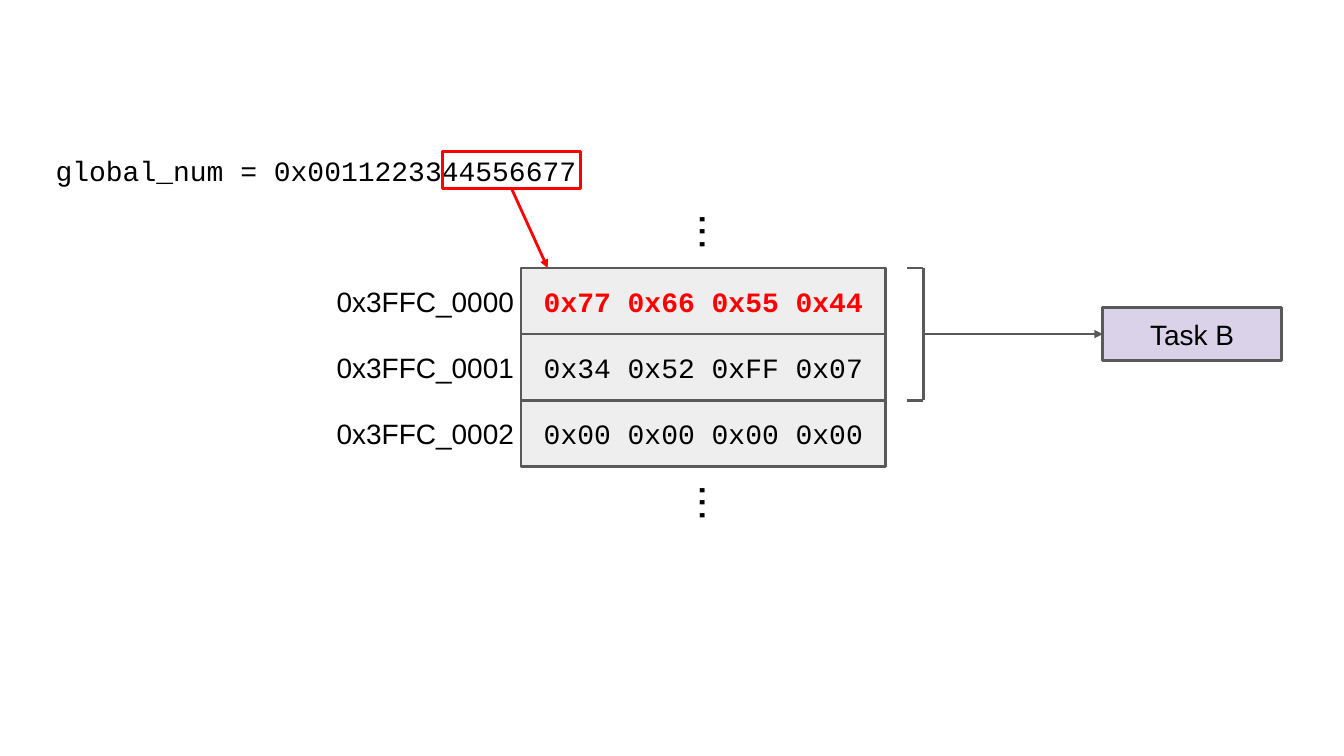
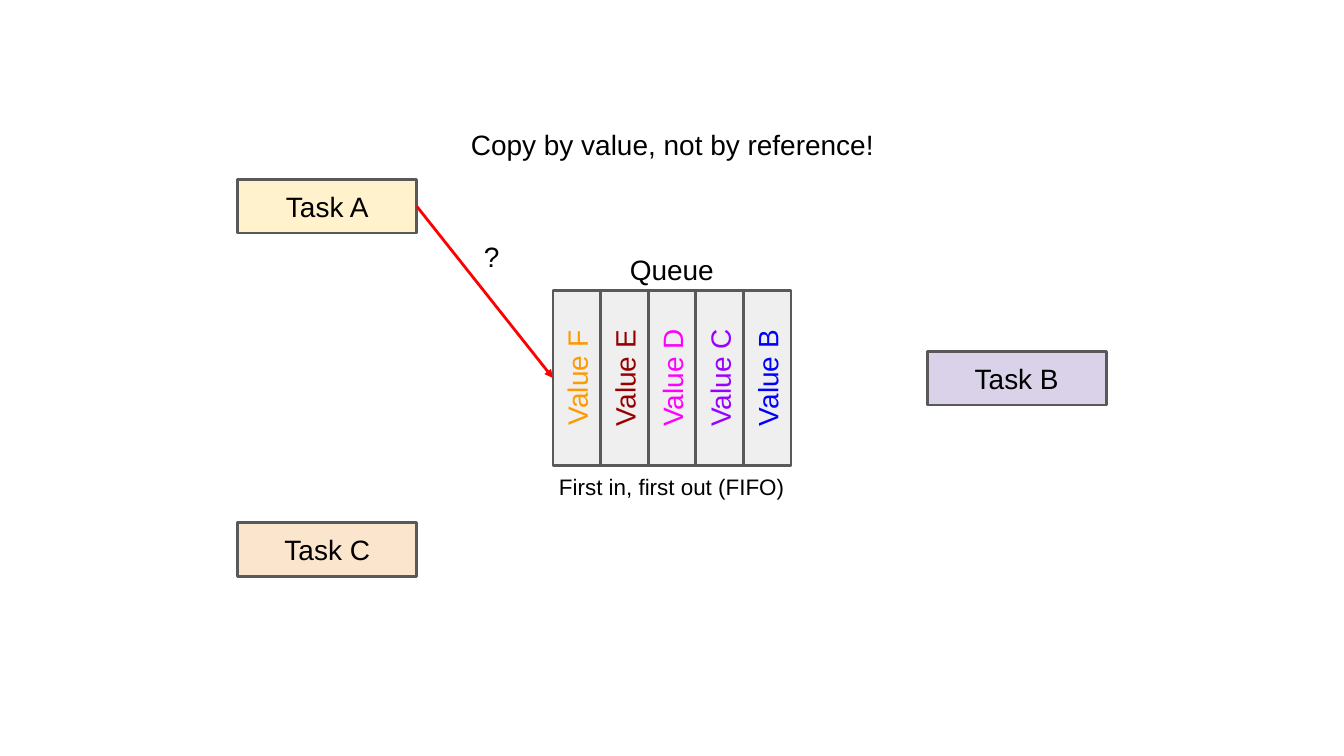
from dataclasses import dataclass

from lxml import etree
from pptx import Presentation
from pptx import util as u
from pptx.dml.color import RGBColor
from pptx.enum import shapes, text
from pptx.oxml import ns

CENTER, LEFT, RIGHT = text.PP_ALIGN.CENTER, text.PP_ALIGN.LEFT, text.PP_ALIGN.RIGHT
MIDDLE, TOP = text.MSO_ANCHOR.MIDDLE, text.MSO_ANCHOR.TOP


@dataclass(frozen=True)
class Theme:
    ink: str = "000000"
    outline: str = "595959"
    accent: str = "FF0000"
    background: str = "FFFFFF"
    memory: str = "EEEEEE"
    queue: str = "EFEFEF"
    task_a: str = "FFF2CC"
    task_b: str = "D9D2E9"
    task_c: str = "FCE5CD"
    value_f: str = "FF9900"
    value_e: str = "980000"
    value_d: str = "FF00FF"
    value_c: str = "9900FF"
    value_b: str = "0000FF"
    sans: str = "Arial"
    mono: str = "Courier New"
    body_size: int = 30
    caption_size: int = 24
    dots_size: int = 48
    line_width: int = 3


THEME = Theme()
TASK_SIZE = (6.76, 2.03)
BLANK, TITLE_ONLY = 6, 5


class Diagram:
    """Holds the theme and the current slide; lengths are centimetres."""

    def __init__(self, presentation, theme):
        self.presentation = presentation
        self.theme = theme
        self.slide = None

    def new_slide(self, layout):
        self.slide = self.presentation.slides.add_slide(
            self.presentation.slide_layouts[layout])
        fill = self.slide.background.fill
        fill.solid()
        fill.fore_color.rgb = RGBColor.from_string(self.theme.background)

    def set_text(self, shape, words, align=CENTER, anchor=MIDDLE, color=None, **font):
        frame = shape.text_frame
        inset = u.Cm(0.25)
        frame_format = {
            "word_wrap": True, "auto_size": text.MSO_AUTO_SIZE.NONE,
            "vertical_anchor": anchor, "margin_left": inset,
            "margin_right": inset, "margin_top": inset, "margin_bottom": inset}
        for name, value in frame_format.items():
            setattr(frame, name, value)
        paragraph = frame.paragraphs[0]
        paragraph.alignment = align
        run = paragraph.add_run()
        run.text = words
        font_format = {"name": self.theme.sans, "bold": False,
                       "size": u.Pt(self.theme.body_size), **font}
        for name, value in font_format.items():
            setattr(run.font, name, value)
        run.font.color.rgb = RGBColor.from_string(color or self.theme.ink)

    def title(self, words, left, top, width, height):
        shape = self.slide.shapes.title
        place = {"left": left, "top": top, "width": width, "height": height}
        for name, value in place.items():
            setattr(shape, name, u.Cm(value))
        self.set_text(shape, words)

    def label(self, words, left, top, width, height, rotation=0, **style):
        shape = self.slide.shapes.add_textbox(*map(u.Cm, (left, top, width, height)))
        shape.rotation = rotation
        self.set_text(shape, words, **style)

    def box(self, left, top, width, height, words="", fill=None, line=None,
            rotation=0, **style):
        shape = self.slide.shapes.add_shape(
            shapes.MSO_SHAPE.RECTANGLE, *map(u.Cm, (left, top, width, height)))
        shape.shadow.inherit = False
        shape.rotation = rotation
        if fill:
            shape.fill.solid()
            shape.fill.fore_color.rgb = RGBColor.from_string(fill)
        else:
            shape.fill.background()
        self.stroke(shape.line, line)
        if words:
            self.set_text(shape, words, **style)
        return shape

    def task(self, letter, left, top, fill):
        return self.box(left, top, *TASK_SIZE, f"Task {letter}", fill)

    def stroke(self, line, color=None):
        line.color.rgb = RGBColor.from_string(color or self.theme.outline)
        line.width = u.Pt(self.theme.line_width)

    def line(self, start, end, color=None, arrow=False, source=None, target=None):
        """Source and target are (shape, side) pairs to join."""
        connector = self.slide.shapes.add_connector(
            shapes.MSO_CONNECTOR.STRAIGHT, *map(u.Cm, (*start, *end)))
        if source:
            connector.begin_connect(*source)
        if target:
            connector.end_connect(*target)
        # Sides of rotated shapes need the drawn end points
        points = {"begin_x": start[0], "begin_y": start[1],
                  "end_x": end[0], "end_y": end[1]}
        for name, value in points.items():
            setattr(connector, name, u.Cm(value))
        self.stroke(connector.line, color)
        properties = connector._element.spPr
        if arrow:
            outline = properties.find(ns.qn("a:ln"))
            etree.SubElement(outline, ns.qn("a:tailEnd"), type="triangle")
        etree.SubElement(properties, ns.qn("a:effectLst"))


def memory_slide(diagram):
    theme = diagram.theme
    diagram.new_slide(BLANK)

    # Memory rows with their addresses
    left, top, width, height = 19.69, 10.13, 13.79, 2.5
    label_height = 1.78
    rows = ["0x77 0x66 0x55 0x44", "0x34 0x52 0xFF 0x07", "0x00 0x00 0x00 0x00"]
    for index, content in enumerate(rows):
        row_top = top + index * height
        changed = index == 0
        diagram.box(left, row_top, width, height, content, theme.memory,
                    name=theme.mono, bold=changed,
                    color=theme.accent if changed else theme.ink)
        diagram.label(f"0x3FFC_000{index}", 10.46,
                      row_top + (height - label_height) / 2, 9.22, label_height,
                      align=RIGHT, anchor=TOP)
    for dots_top in (7.49, 17.73):
        diagram.label("...", 25.76, dots_top, 2.74, 2.57, rotation=90,
                      size=u.Pt(theme.dots_size))

    # Variable and the half already stored
    diagram.label("global_num = 0x0011223344556677", 1.85, 5.54, 25.7, label_height,
                  align=LEFT, anchor=TOP, name=theme.mono)
    stored_half = diagram.box(16.74, 5.74, 5.2, 1.4, line=theme.accent)
    diagram.line((19.34, 7.14), (20.7, top), theme.accent, arrow=True,
                 source=(stored_half, 2))

    # Bracket over the two rows read by the task
    spine, arm = 34.9, 34.29
    bottom, middle = top + 2 * height, top + height
    task_left = 41.68
    task_b = diagram.task("B", task_left, middle - TASK_SIZE[1] / 2, theme.task_b)
    diagram.line((spine, middle), (task_left, middle), arrow=True, target=(task_b, 1))
    diagram.line((spine, top), (spine, bottom))
    for edge in (top, bottom):
        diagram.line((spine, edge), (arm, edge))


def queue_slide(diagram):
    theme = diagram.theme
    diagram.new_slide(TITLE_ONLY)
    diagram.title("Copy by value, not by reference!", 16.08, 4.17, 18.67, 2.59)

    # Tasks
    task_left, task_top = 8.99, 6.78
    task_a = diagram.task("A", task_left, task_top, theme.task_a)
    diagram.task("C", task_left, 19.76, theme.task_c)
    diagram.task("B", 35.05, 13.28, theme.task_b)

    # Queue of upright values
    length, pitch = 6.63, 1.8
    queue_left, middle = 20.9, 14.29
    values = {"F": theme.value_f, "E": theme.value_e, "D": theme.value_d,
              "C": theme.value_c, "B": theme.value_b}
    cells = []
    for index, (letter, color) in enumerate(values.items()):
        center = queue_left + (index + 0.5) * pitch
        cells.append(diagram.box(
            center - length / 2, middle - pitch / 2, length, pitch,
            f"Value {letter}", theme.queue, rotation=270, color=color))
    diagram.label("Queue", 22.5, 9.27, 5.79, 1.8)
    diagram.label("First in, first out (FIFO)", 20.37, 17.5, 10.03, 1.8,
                  size=u.Pt(theme.caption_size))

    # Attempted copy into the queue
    diagram.line((task_left + TASK_SIZE[0], task_top + TASK_SIZE[1] / 2),
                 (queue_left, middle), theme.accent, arrow=True,
                 source=(task_a, 3), target=(cells[0], 0))
    diagram.label("?", 17.4, 8.38, 2.36, 2.59)


def main():
    presentation = Presentation()
    presentation.slide_width = u.Cm(50.8)
    presentation.slide_height = u.Cm(28.58)
    diagram = Diagram(presentation, THEME)
    memory_slide(diagram)
    queue_slide(diagram)
    presentation.save("out.pptx")


if __name__ == "__main__":
    main()
